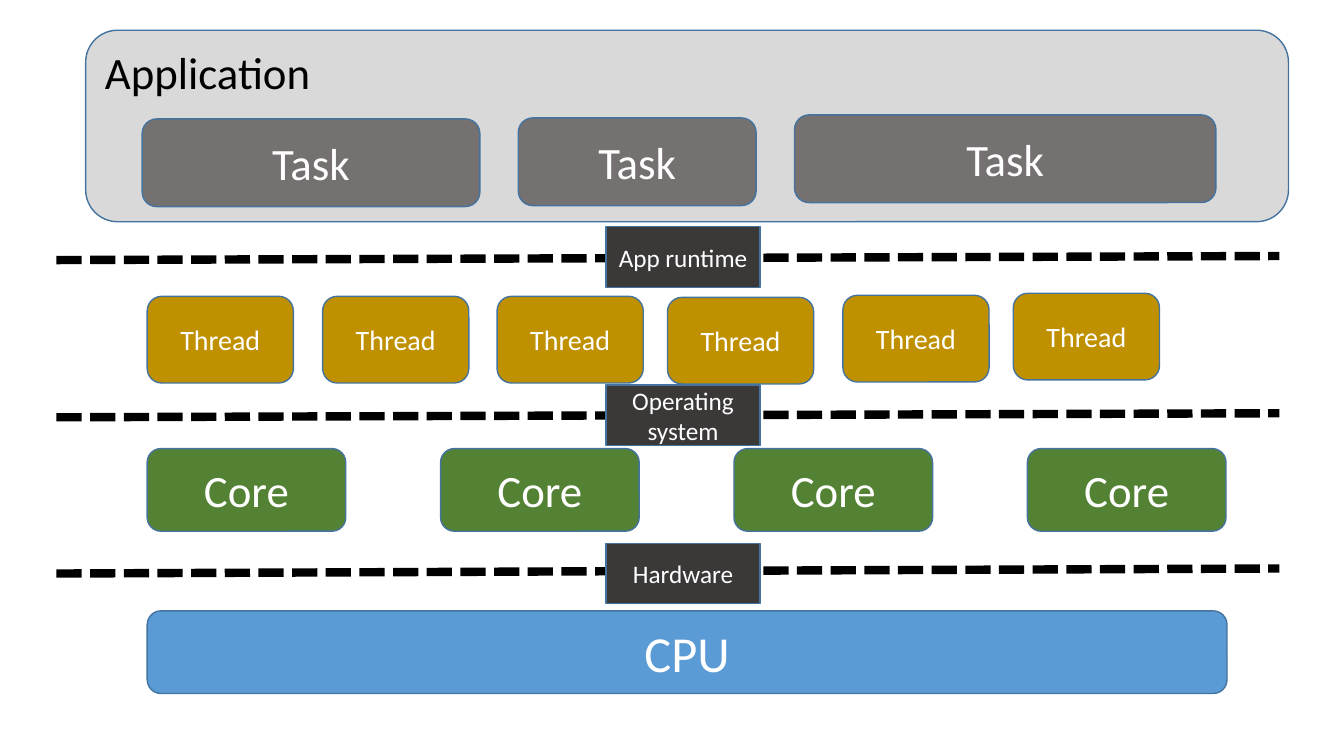
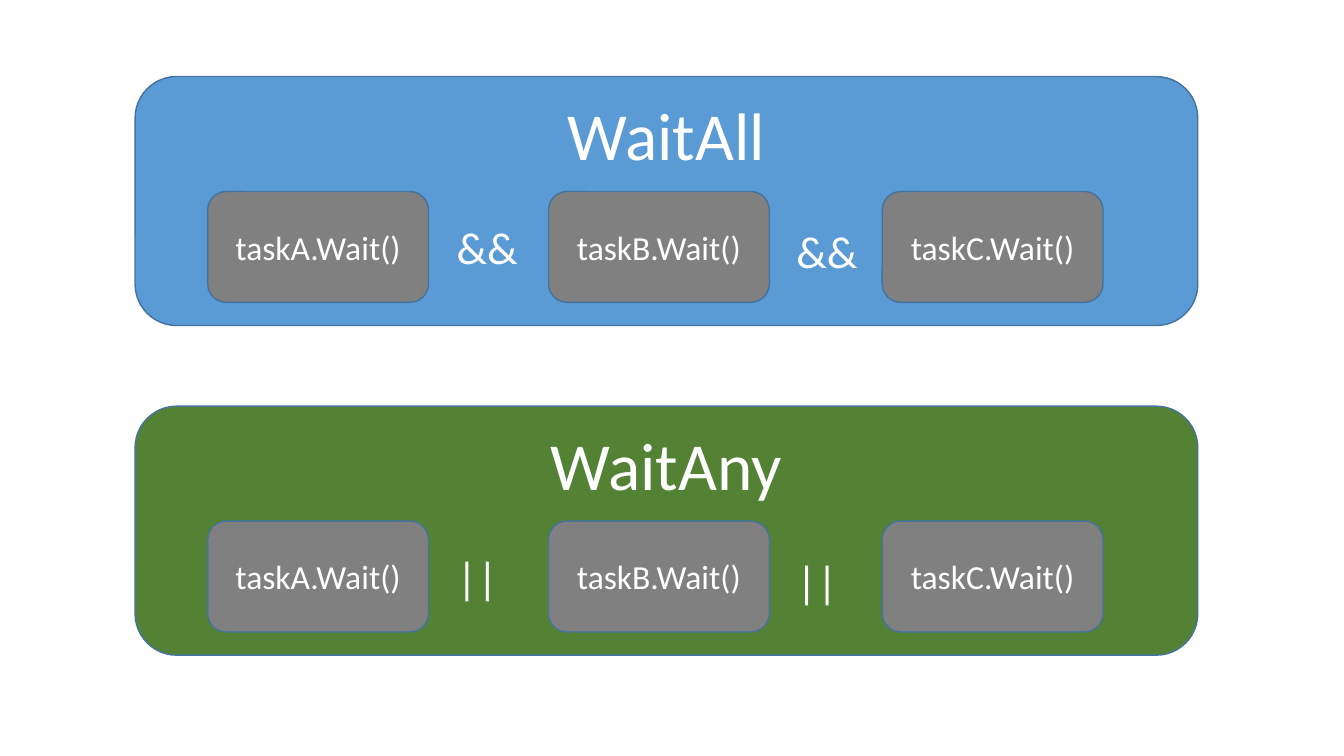
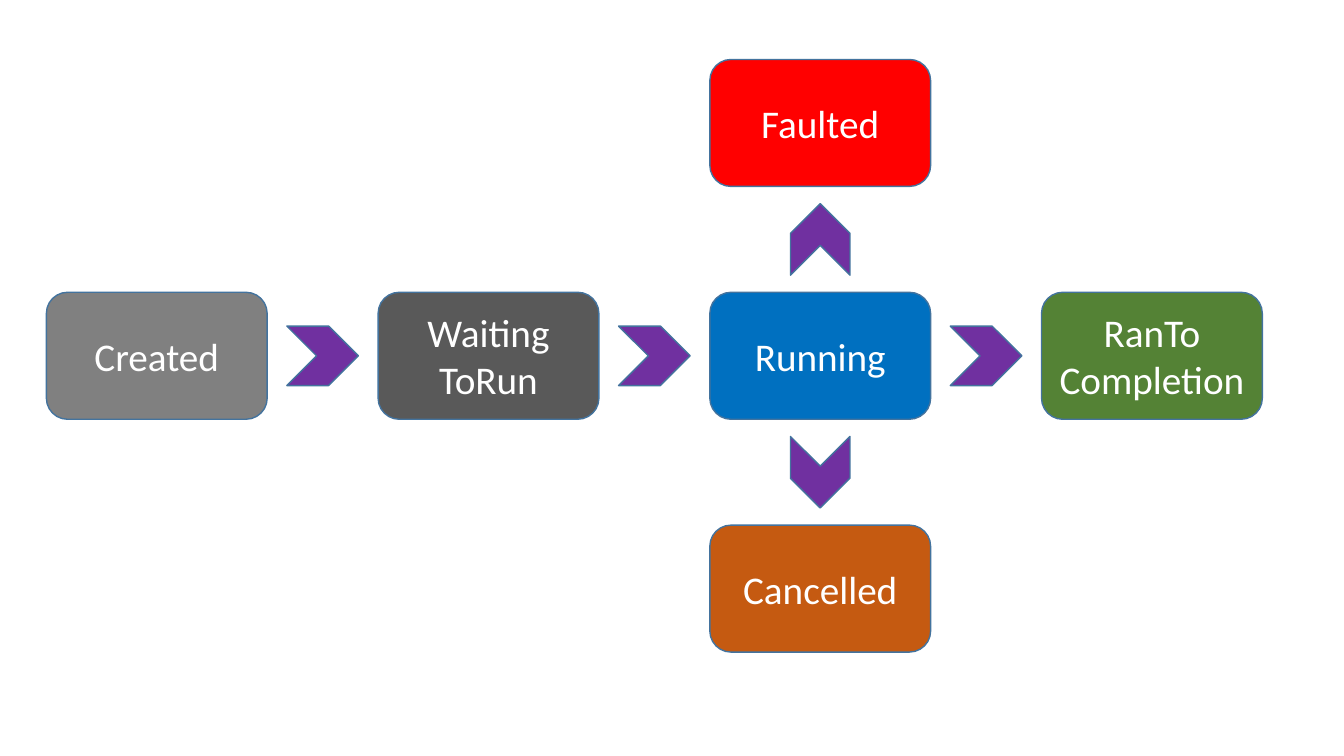
from pptx import Presentation
from pptx.dml.color import RGBColor
from pptx.enum.dml import MSO_LINE
from pptx.enum.shapes import MSO_CONNECTOR, MSO_SHAPE
from pptx.enum.text import MSO_ANCHOR, MSO_AUTO_SIZE, PP_ALIGN
from pptx.oxml.ns import qn
from pptx.util import Inches, Pt
from lxml import etree

ROUNDED = MSO_SHAPE.ROUNDED_RECTANGLE
RECTANGLE = MSO_SHAPE.RECTANGLE
CHEVRON = MSO_SHAPE.CHEVRON
STRAIGHT = MSO_CONNECTOR.STRAIGHT
SYSTEM_DASH = MSO_LINE.SQUARE_DOT
TOP = MSO_ANCHOR.TOP
MIDDLE = MSO_ANCHOR.MIDDLE
LEFT = PP_ALIGN.LEFT
CENTER = PP_ALIGN.CENTER
FIT_SHAPE = MSO_AUTO_SIZE.SHAPE_TO_FIT_TEXT

FONT = "Calibri"
WHITE = "FFFFFF"
BLACK = "000000"
OUTLINE = "43739E"
BLUE = "5B9BD5"
GREEN = "548235"
GRAY = "808080"
PALE_GRAY = "D9D9D9"
TASK_GRAY = "767171"
LABEL_GRAY = "3B3838"
GOLD = "BF9000"
PURPLE = "7030A0"

STATE_WIDTH, STATE_HEIGHT = 2.19, 1.26
STATE_LEFT, STATE_TOP = 0.46, 2.9
COLUMN_PITCH, ROW_PITCH = 3.29, 2.31
ARROW_WIDTH, ARROW_HEIGHT = 0.71, 0.59


def rgb(color):
    return RGBColor.from_string(color)


def write(frame, text, size, color=WHITE, align=CENTER):
    frame.text = text
    for paragraph in frame.paragraphs:
        paragraph.alignment = align
        for run in paragraph.runs:
            run.font.name = FONT
            run.font.size = Pt(size)
            run.font.color.rgb = rgb(color)


def add_block(slide, kind, bounds, fill):
    block = slide.shapes.add_shape(kind, *map(Inches, bounds))
    block.shadow.inherit = False
    block.fill.solid()
    block.fill.fore_color.rgb = rgb(fill)
    block.line.color.rgb = rgb(OUTLINE)
    block.line.width = Pt(1)
    return block


def add_box(slide, bounds, text, fill, size, kind=ROUNDED, anchor=MIDDLE,
            color=WHITE, align=CENTER):
    box = add_block(slide, kind, bounds, fill)
    box.text_frame.vertical_anchor = anchor
    write(box.text_frame, text, size, color, align)


def add_operator(slide, left, top, width, text):
    operator = slide.shapes.add_textbox(*map(Inches, (left, top, width, 0.64)))
    operator.text_frame.word_wrap = False
    operator.text_frame.auto_size = FIT_SHAPE
    write(operator.text_frame, text, 32, align=LEFT)


def add_boundary(slide, start_y, end_y):
    boundary = slide.shapes.add_connector(
        STRAIGHT, *map(Inches, (0.56, start_y, 12.69, end_y)))
    boundary.line.color.rgb = rgb(BLACK)
    boundary.line.width = Pt(6)
    boundary.line.dash_style = SYSTEM_DASH
    etree.SubElement(boundary._element.spPr, qn("a:effectLst"))


def add_layers(slide):
    add_box(slide, (0.85, 0.3, 11.93, 1.9), "Application", PALE_GRAY, 32,
            anchor=TOP, color=BLACK, align=LEFT)
    for left, top, width in ((1.41, 1.18, 3.35), (5.14, 1.17, 2.36), (7.88, 1.14, 4.18)):
        add_box(slide, (left, top, width, 0.87), "Task", TASK_GRAY, 32)
    for left, top in ((1.46, 2.94), (3.2, 2.94), (4.93, 2.94),
                      (6.62, 2.95), (8.36, 2.93), (10.05, 2.91)):
        add_box(slide, (left, top, 1.45, 0.86), "Thread", GOLD, 20)
    for column in range(4):
        add_box(slide, (1.46 + column * 2.91, 4.45, 1.97, 0.82), "Core", GREEN, 32)
    add_box(slide, (1.46, 6.06, 10.71, 0.82), "CPU", BLUE, 36)

    for label, label_top, start_y, end_y in (
            ("App runtime", 2.25, 2.58, 2.54),
            ("Operating system", 3.82, 4.14, 4.1),
            ("Hardware", 5.39, 5.69, 5.64)):
        add_boundary(slide, start_y, end_y)
        add_box(slide, (6.01, label_top, 1.53, 0.6), label, LABEL_GRAY, 18, kind=RECTANGLE)


def add_wait_panel(slide, top, title, fill, operator, operator_width):
    add_box(slide, (1.34, top, 10.54, 2.47), title, fill, 48, anchor=TOP)
    for left, task in ((2.06, "A"), (5.44, "B"), (8.75, "C")):
        add_box(slide, (left, top + 1.14, 2.19, 1.1), f"task{task}.Wait()", GRAY, 24)
    for left, offset in ((4.43, 1.37), (7.8, 1.41)):
        add_operator(slide, left, top + offset, operator_width, operator)


def add_state(slide, column, row, text, fill):
    bounds = (STATE_LEFT + column * COLUMN_PITCH, STATE_TOP + row * ROW_PITCH,
              STATE_WIDTH, STATE_HEIGHT)
    add_box(slide, bounds, text, fill, 28)


def add_transition(slide, column, row, rotation):
    center_x = STATE_LEFT + column * COLUMN_PITCH + STATE_WIDTH / 2
    center_y = STATE_TOP + row * ROW_PITCH + STATE_HEIGHT / 2
    bounds = (center_x - ARROW_WIDTH / 2, center_y - ARROW_HEIGHT / 2,
              ARROW_WIDTH, ARROW_HEIGHT)
    add_block(slide, CHEVRON, bounds, PURPLE).rotation = rotation


def add_task_states(slide):
    for state in ((0, 0, "Created", GRAY),
                  (1, 0, "Waiting\nToRun", "595959"),
                  (2, 0, "Running", "0070C0"),
                  (3, 0, "RanTo\nCompletion", GREEN),
                  (2, 1, "Cancelled", "C55A11"),
                  (2, -1, "Faulted", "FF0000")):
        add_state(slide, *state)
    for transition in ((0.5, 0, 0), (1.5, 0, 0), (2.5, 0, 0), (2, 0.5, 90), (2, -0.5, 270)):
        add_transition(slide, *transition)


def main():
    deck = Presentation()
    deck.slide_width, deck.slide_height = Inches(13.33), Inches(7.5)
    blank = deck.slide_layouts[6]
    layers, waits, states = (deck.slides.add_slide(blank) for _ in range(3))
    add_layers(layers)
    add_wait_panel(waits, 0.76, "WaitAll", BLUE, "&&", 0.82)
    add_wait_panel(waits, 4.03, "WaitAny", GREEN, "||", 0.62)
    add_task_states(states)
    deck.save("out.pptx")


if __name__ == "__main__":
    main()
